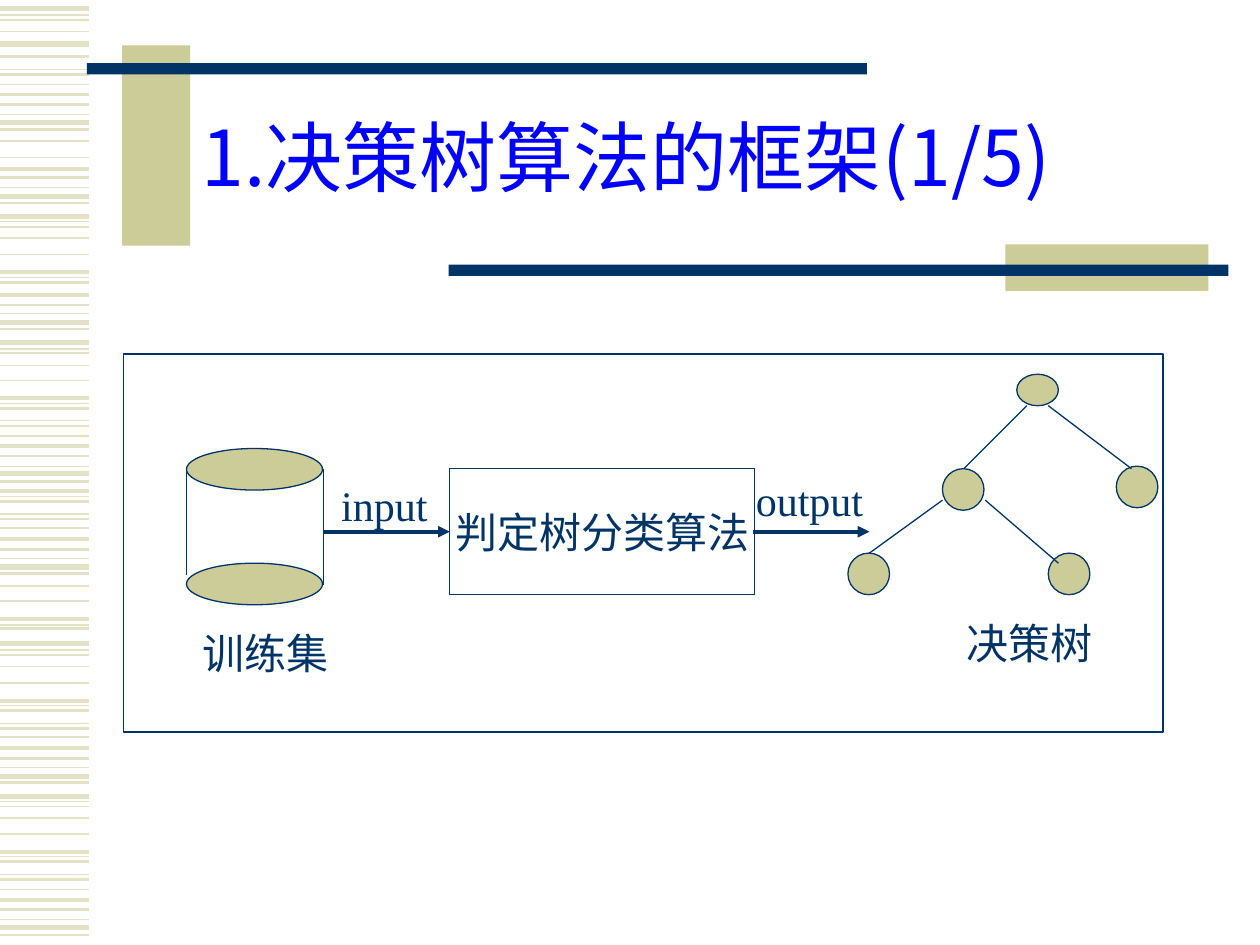
"""Build the slide on the framework of the decision tree algorithm."""
from lxml.etree import SubElement
from pptx import Presentation
from pptx.dml.color import RGBColor
from pptx.enum.shapes import MSO_CONNECTOR as Link, MSO_SHAPE as Kind
from pptx.enum.text import MSO_ANCHOR as Anchor, MSO_AUTO_SIZE as Fit, PP_ALIGN as Align
from pptx.oxml.ns import qn
from pptx.util import Inches, Pt

NAVY = RGBColor(0x00, 0x33, 0x66)
OLIVE = RGBColor(0xCC, 0xCC, 0x99)
PALE = RGBColor(0xE3, 0xE2, 0xC7)
BLUE = RGBColor(0x00, 0x00, 0xFF)
WHITE = RGBColor(0xFF, 0xFF, 0xFF)
SANS, SERIF = "Noto Sans CJK SC", "Times New Roman"

TITLE = "1.决策树算法的框架(1/5)"
STEP = "判定树分类算法"
LABELS = [
    ("output", 5.9, 3.72, 1.17),
    ("训练集", 1.51, 4.93, 1.23),
    ("决策树", 7.57, 4.85, 1.25),
    ("input", 2.61, 3.76, 0.92),
]
STRIPES = {
    0.75: [0.12, 0.55, 0.91, 1.49, 1.76, 2.2, 2.49, 2.77, 3.2, 3.34, 3.7, 3.94, 4.08,
           4.43, 4.96, 5.16, 5.6, 5.74, 6.09, 6.36, 6.8, 6.94, 7.3],
    1: [0.16, 0.25, 0.67, 1.12, 1.25, 1.8, 1.89, 2.02, 2.8, 2.9, 3.02, 3.46, 4.19,
        4.65, 4.77, 5.2, 5.29, 5.42, 5.85, 6.4, 6.49, 6.62, 7.06],
    1.5: [0.45, 0.59, 0.83, 1.03, 1.41, 1.61, 2.24, 2.42, 2.61, 3.24, 3.38, 3.62,
          3.82, 3.98, 4.12, 4.36, 4.55, 4.99, 5.64, 5.78, 6.02, 6.21, 6.84, 6.98,
          7.22, 7.42],
    2.25: [0.75, 1.34, 2.16, 2.34, 3.16, 3.54, 3.9, 4.28, 4.91, 5.56, 5.94, 6.76, 7.14],
    3: [0.07, 0.35, 0.97, 1.56, 1.72, 2.56, 2.72, 3.76, 4.5, 5.11, 6.16, 6.32, 7.36],
}
BARS = [
    (0.97, 0.36, 0.54, 1.59, OLIVE),
    (0.69, 0.5, 6.19, 0.09, NAVY),
    (7.98, 1.94, 1.61, 0.37, OLIVE),
    (3.56, 2.1, 6.19, 0.09, NAVY),
]
FRAME = (0.98, 2.81, 8.25, 3)
STEP_BOX = (3.57, 3.72, 2.42, 1)
DISK = 0.33
DISKS = [(1.48, top, 1.08, DISK) for top in (3.56, 4.47)]
ROOT = (8.07, 2.97, DISK, 0.25)
NODES = [(x, y, DISK, DISK) for x, y in
         [(7.48, 3.72), (8.86, 3.7), (6.73, 4.39), (8.32, 4.39)]]
SIDES = [(1.48, 3.72, 1.48, 4.56), (2.57, 3.72, 2.57, 4.64)]
EDGES = [
    (8.15, 3.22, 7.65, 3.72),
    (8.32, 3.22, 8.98, 3.72),
    (7.48, 3.97, 6.9, 4.39),
    (7.82, 3.97, 8.4, 4.47),
]
ARROWS = [(2.57, 4.22, 3.57, 4.22), (5.98, 4.22, 6.9, 4.22)]


def add_shape(slide, kind, box, fill, line=None):
    shape = slide.shapes.add_shape(kind, *map(Inches, box))
    shape.shadow.inherit = False
    shape.fill.solid()
    shape.fill.fore_color.rgb = fill
    if line is None:
        shape.line.fill.background()
    else:
        shape.line.color.rgb = line
        shape.line.width = Pt(0.75)
    return shape


def add_line(slide, ends, color=NAVY, width=0.75, arrow=False):
    line = slide.shapes.add_connector(Link.STRAIGHT, *map(Inches, ends))
    line.line.color.rgb = color
    line.line.width = Pt(width)
    if arrow:
        SubElement(line.line._get_or_add_ln(), qn("a:tailEnd"), type="triangle")
    SubElement(line._element.spPr, qn("a:effectLst"))


def set_text(frame, text, size, name, color, align=Align.LEFT):
    frame.text = text
    para = frame.paragraphs[0]
    para.alignment = align
    font = para.font
    font.size = Pt(size)
    font.color.rgb = color
    font.name = name
    SubElement(para._p.pPr.find(qn("a:defRPr")), qn("a:ea"), typeface=SANS)


def add_title(slide):
    title = slide.shapes.title
    title.left, title.top, title.width, title.height = map(Inches, (1.5, 0.67, 8.07, 1.25))
    frame = title.text_frame
    set_text(frame, TITLE, 44, SANS, BLUE)
    frame.vertical_anchor = Anchor.MIDDLE
    frame.paragraphs[0].line_spacing = 0.85


def add_decor(slide):
    for width, tops in STRIPES.items():
        for top in tops:
            add_line(slide, (0, top, 0.71, top), PALE, width)
    for *box, fill in BARS:
        add_shape(slide, Kind.RECTANGLE, box, fill)


def add_flow(slide):
    add_shape(slide, Kind.RECTANGLE, FRAME, WHITE, NAVY)
    for box in [*DISKS, ROOT, *NODES]:
        add_shape(slide, Kind.OVAL, box, OLIVE, NAVY)
    step = add_shape(slide, Kind.RECTANGLE, STEP_BOX, WHITE, NAVY).text_frame
    set_text(step, STEP, 24, SERIF, NAVY, Align.CENTER)
    step.vertical_anchor = Anchor.MIDDLE
    step.word_wrap = False
    for ends in SIDES + EDGES:
        add_line(slide, ends)
    for ends in ARROWS:
        add_line(slide, ends, width=2.25, arrow=True)
    for text, left, top, width in LABELS:
        box = slide.shapes.add_textbox(*map(Inches, (left, top, width, 0.5)))
        frame = box.text_frame
        set_text(frame, text, 24, SERIF, NAVY)
        frame.word_wrap = True
        frame.auto_size = Fit.SHAPE_TO_FIT_TEXT


def main():
    deck = Presentation()
    deck.slide_width, deck.slide_height = Inches(10), Inches(7.5)
    slide = deck.slides.add_slide(deck.slide_layouts[5])
    add_decor(slide)
    add_title(slide)
    add_flow(slide)
    deck.save("out.pptx")


if __name__ == "__main__":
    main()
